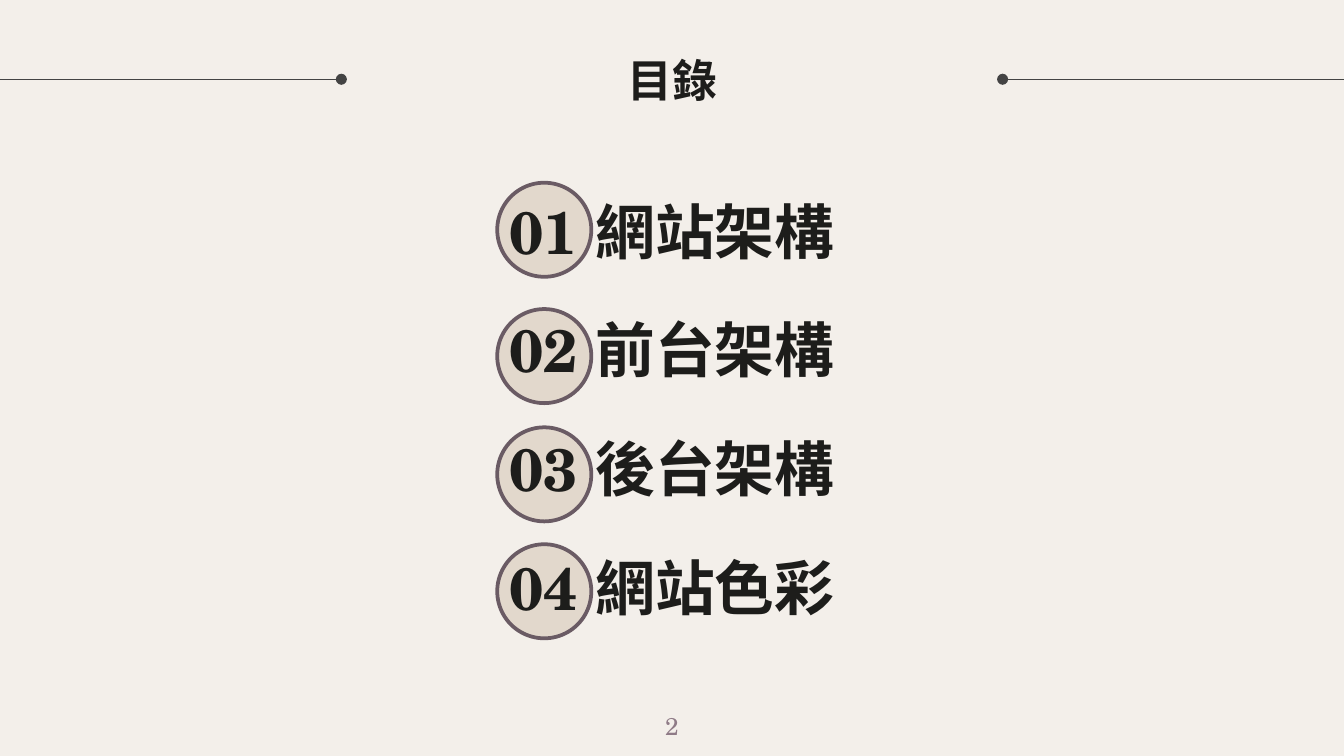
"""Build the table of contents slide."""
from lxml.etree import SubElement
from pptx import Presentation
from pptx.dml.color import RGBColor
from pptx.enum.shapes import MSO_CONNECTOR as LINE, MSO_SHAPE as SHAPE
from pptx.enum.text import MSO_ANCHOR as ANCHOR, PP_ALIGN as ALIGN
from pptx.oxml.ns import qn
from pptx.util import Inches, Pt


def color(text):
    return RGBColor.from_string(text)


def write(box, lines, size, face, ink, bold=False, anchor=ANCHOR.TOP):
    left, top, width, height = [Inches(n) for n in box]
    frame = slide.shapes.add_textbox(left, top, width, height).text_frame
    frame.word_wrap = True
    frame.vertical_anchor = anchor
    frame.margin_left = frame.margin_right = Inches(0.1)
    frame.margin_top = frame.margin_bottom = Inches(0.1)
    frame.text = "\n".join(lines)
    for para in frame.paragraphs:
        para.alignment = ALIGN.CENTER
        para.font.size = Pt(size)
        para.font.name = face
        para.font.bold = bold
        para.font.color.rgb = color(ink)
    return frame


SERIF = "TeX Gyre Schola"
DARK = "1D1D1B"

deck = Presentation()
deck.slide_width = Inches(10)
deck.slide_height = Inches(10 * 9 / 16)
slide = deck.slides.add_slide(deck.slide_layouts[6])
slide.background.fill.solid()
slide.background.fill.fore_color.rgb = color("F3EFEA")

for start, end in [(2.54, 0), (7.46, 10)]:
    rule = slide.shapes.add_connector(
        LINE.STRAIGHT, Inches(start), Inches(0.59), Inches(end), Inches(0.59))
    rule.line.color.rgb = color("434343")
    rule.line.width = Pt(0.75)
    SubElement(rule.line._get_or_add_ln(), qn("a:headEnd"),
               type="oval", w="med", len="med")
    SubElement(rule._element.spPr, qn("a:effectLst"))

for top in [4.05, 3.18, 2.3, 1.36]:
    disc = slide.shapes.add_shape(
        SHAPE.OVAL, Inches(3.7), Inches(top), Inches(0.7), Inches(0.7))
    disc.shadow.inherit = False
    disc.fill.solid()
    disc.fill.fore_color.rgb = color("E2D8CC")
    disc.line.color.rgb = color("6A5B64")
    disc.line.width = Pt(2)

write((2.55, 0.12, 4.91, 0.94), ["目錄"], 24, "Montserrat", DARK, True, ANCHOR.MIDDLE)
write((4.7, 5.19, 0.6, 0.43), ["2"], 13, SERIF, "8F7B87")

topics = ["網站架構", "前台架構", "後台架構", "網站色彩"]
items = [f"{n:02} {topic}" for n, topic in enumerate(topics, 1)]
agenda = write((0.5, 1.08, 9, 3.83), items, 32, SERIF, DARK, True)
for para in agenda.paragraphs:
    para.line_spacing = 1.5
    para.space_before = Pt(6)

deck.save("out.pptx")
